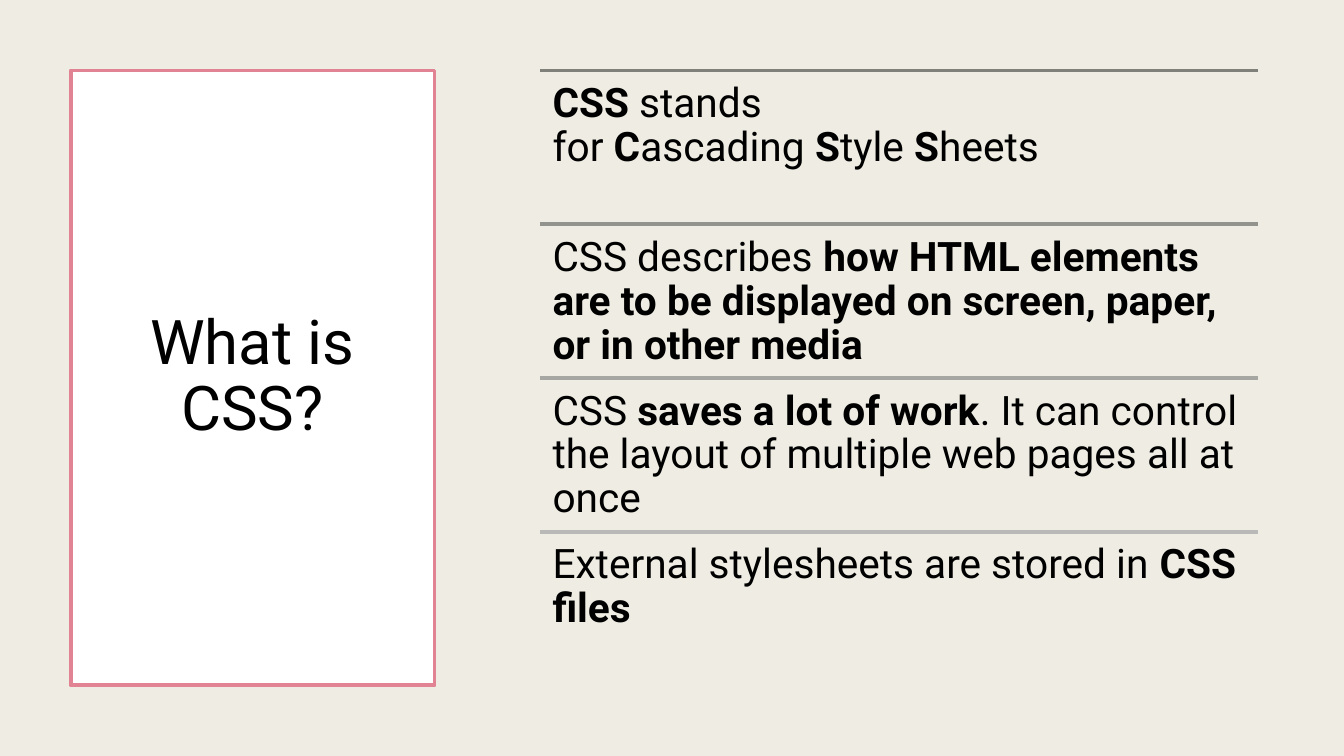
from dataclasses import dataclass

from pptx import Presentation, util as u
from pptx.dml.color import RGBColor
from pptx.enum import shapes, text
from pptx.oxml import parse_xml
from pptx.oxml.ns import nsdecls

CELL = u.Inches(0.1)  # the slide is a grid of 133.3 columns by 75 rows
COLUMNS, ROWS = 133.3, 75


@dataclass(frozen=True)
class Theme:
    """Colours, font and type sizes of the slide."""
    background: str = "EFEDE3"
    card: str = "FFFFFF"
    card_line: str = "E28394"
    ink: str = "000000"
    rules: tuple = ("7F807A", "93938E", "A6A7A2", "B9BAB7")
    font: str = "Roboto"
    title_size: float = 44
    body_size: float = 29
    line_width: float = 2.75


@dataclass(frozen=True)
class Box:
    """A rectangle in grid columns and rows."""
    left: float
    top: float
    width: float
    height: float

    def lengths(self):
        """Return left, top, width and height as slide lengths."""
        return [round(cells * CELL) for cells in
                (self.left, self.top, self.width, self.height)]

    def split_rows(self, count):
        """Return equal boxes stacked from top to bottom."""
        height = self.height / count
        return [Box(self.left, self.top + index * height, self.width, height)
                for index in range(count)]


THEME = Theme()
TITLE_BOX = Box(7, 7, 36.1, 61)
FACTS_BOX = Box(53.6, 7, 71.2, 61)
TITLE = "What is CSS?"
# Asterisks switch bold on and off.
FACTS = (
    "*CSS*\u00a0stands for\u00a0*C*ascading\u00a0*S*tyle\u00a0*S*heets",
    "CSS describes\u00a0*how HTML elements are to be displayed on screen, "
    "paper, or in other media*",
    "CSS\u00a0*saves a lot of work*. It can control the layout of multiple "
    "web pages all at once",
    "External stylesheets are stored in\u00a0*CSS files*",
)


def style_run(run, size, bold=False):
    """Apply the theme font to a run."""
    run.font.name = THEME.font
    run.font.size = u.Pt(size)
    run.font.bold = bold
    run.font.color.rgb = RGBColor.from_string(THEME.ink)


def style_line(line, color):
    """Give an outline or rule its colour and the common width."""
    line.color.rgb = RGBColor.from_string(color)
    line.width = u.Pt(THEME.line_width)


def add_title_card(slide, box, title):
    """Draw the outlined card with the centred title."""
    card = slide.shapes.add_shape(shapes.MSO_SHAPE.RECTANGLE, *box.lengths())
    card.shadow.inherit = False
    card.fill.solid()
    card.fill.fore_color.rgb = RGBColor.from_string(THEME.card)
    style_line(card.line, THEME.card_line)
    frame = card.text_frame
    frame.text = title
    frame.word_wrap = True
    frame.vertical_anchor = text.MSO_ANCHOR.MIDDLE
    paragraph = frame.paragraphs[0]
    paragraph.alignment = text.PP_ALIGN.CENTER
    paragraph.line_spacing = 0.89
    style_run(paragraph.runs[0], THEME.title_size)


def add_rule(slide, box, color):
    """Draw a horizontal rule along the top of the box."""
    left, top, width, _ = box.lengths()
    rule = slide.shapes.add_connector(
        shapes.MSO_CONNECTOR.STRAIGHT, left, top, left + width, top)
    style_line(rule.line, color)
    rule._element.spPr.append(parse_xml(f"<a:effectLst {nsdecls('a')}/>"))


def add_fact(slide, box, fact):
    """Write one fact with its bold parts in the box."""
    frame = slide.shapes.add_textbox(*box.lengths()).text_frame
    frame.word_wrap = True
    frame.margin_left = frame.margin_right = u.Inches(0.12)
    frame.margin_top = frame.margin_bottom = u.Inches(0.12)
    paragraph = frame.paragraphs[0]
    paragraph.line_spacing = 0.9
    for index, part in enumerate(fact.split("*")):
        if part:
            run = paragraph.add_run()
            run.text = part
            style_run(run, THEME.body_size, bold=index % 2 == 1)


def add_fact_list(slide, box, facts):
    """Stack the facts in equal rows, each under its rule."""
    rows = box.split_rows(len(facts))
    for row, color, fact in zip(rows, THEME.rules, facts):
        add_rule(slide, row, color)
        add_fact(slide, row, fact)


def build_slide(presentation):
    """Add the slide with the title card and the fact list."""
    slide = presentation.slides.add_slide(presentation.slide_layouts[6])
    fill = slide.background.fill
    fill.solid()
    fill.fore_color.rgb = RGBColor.from_string(THEME.background)
    add_title_card(slide, TITLE_BOX, TITLE)
    add_fact_list(slide, FACTS_BOX, FACTS)


presentation = Presentation()
presentation.slide_width = round(COLUMNS * CELL)
presentation.slide_height = ROWS * CELL
build_slide(presentation)
presentation.save("out.pptx")
